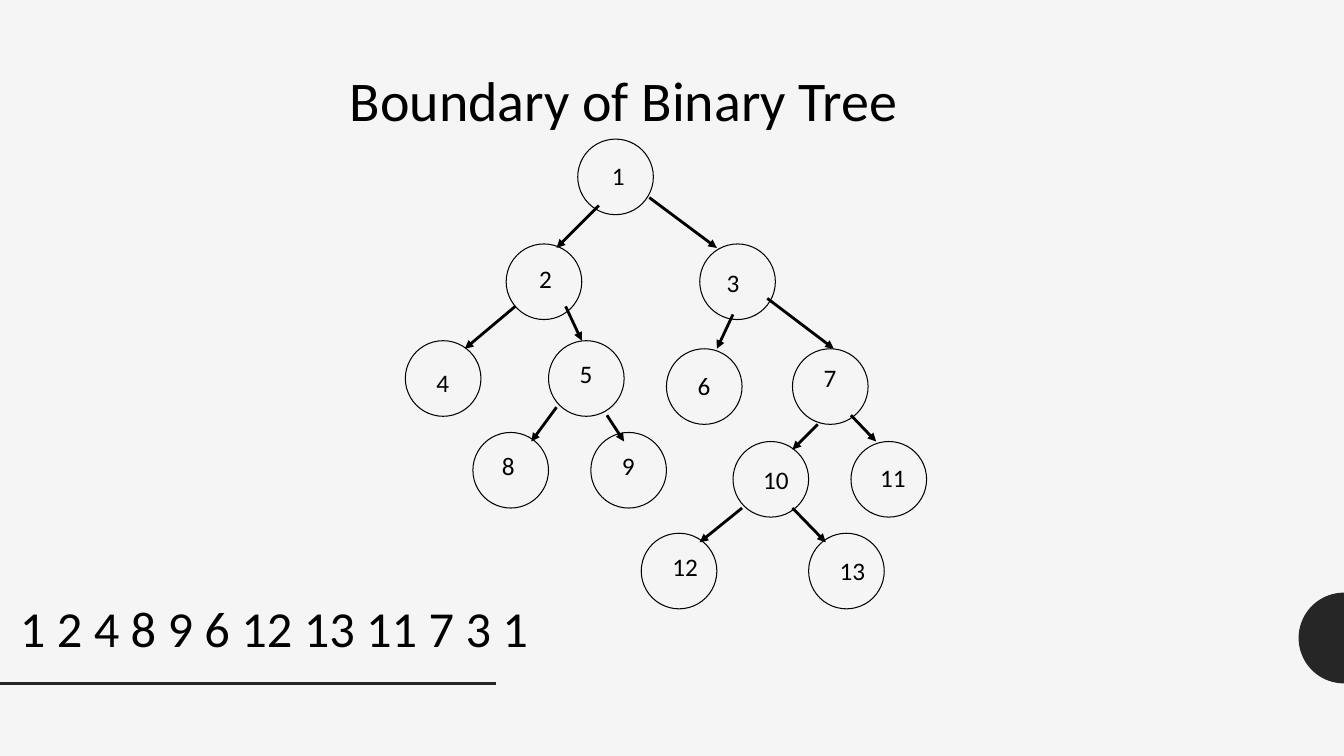
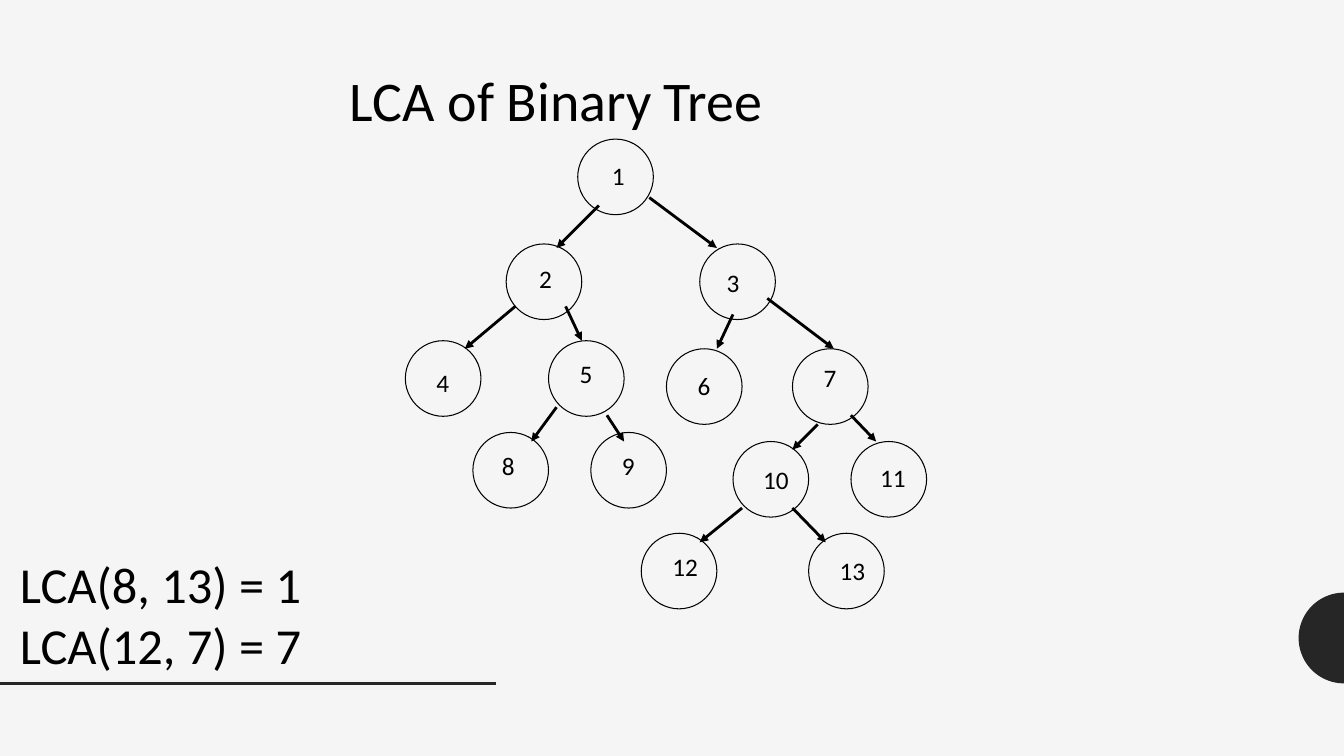
from math import cos, pi, sin

from pptx import Presentation
from pptx.dml.color import RGBColor
from pptx.enum.shapes import MSO_CONNECTOR as CONNECTOR, MSO_SHAPE as SHAPE
from pptx.enum.text import MSO_ANCHOR as ANCHOR, MSO_AUTO_SIZE as AUTO_SIZE, PP_ALIGN as ALIGN
from pptx.oxml.ns import qn
from pptx.util import Inches, Pt
from lxml import etree

PAPER = RGBColor(0xF5, 0xF5, 0xF5)
CHARCOAL = RGBColor(0x26, 0x26, 0x26)
BLACK = RGBColor(0, 0, 0)
FONT = "Calibri"

# Boxes: left, top, width, height in inches
SLIDE_WIDTH, SLIDE_HEIGHT = 13.33, 7.5
TITLE_BOX = (3.37, 0.6, 8.76, 0.77)
TREE_ORIGIN = (4.02, 1.38)
RULE_Y, RULE_WIDTH = 6.78, 4.92
DOT_RADIUS = 0.45
DIAMETER = 0.75

# Value: circle corner within the tree, label offset within the circle
NODES = {
    1: (1.71, 0, 0.24, 0.16),
    2: (1, 1.04, 0.23, 0.14),
    3: (2.92, 1.04, 0.17, 0.18),
    4: (0, 2, 0.21, 0.21),
    5: (1.42, 2, 0.21, 0.13),
    6: (2.59, 2.08, 0.21, 0.16),
    7: (3.84, 2.08, 0.21, 0.09),
    8: (0.67, 2.91, 0.19, 0.13),
    9: (1.84, 2.91, 0.21, 0.13),
    10: (3.25, 3, 0.2, 0.18),
    11: (4.42, 3, 0.19, 0.16),
    12: (2.34, 3.91, 0.21, 0.13),
    13: (4, 3.91, 0.21, 0.17),
}

# Parent, child: arrow start and end within the tree
EDGES = {
    (1, 2): (1.92, 0.66, 1.5, 1.08),
    (1, 3): (2.42, 0.58, 3.09, 1.08),
    (2, 4): (1.09, 1.66, 0.59, 2.08),
    (2, 5): (1.59, 1.66, 1.75, 2),
    (3, 6): (3.25, 1.74, 3.09, 2.08),
    (3, 7): (3.59, 1.58, 4.25, 2.08),
    (5, 8): (1.5, 2.66, 1.25, 3),
    (5, 9): (2, 2.74, 2.17, 3),
    (7, 10): (4.09, 2.83, 3.84, 3.08),
    (7, 11): (4.42, 2.74, 4.67, 3),
    (10, 12): (3.34, 3.66, 2.92, 4),
    (10, 13): (3.84, 3.66, 4.17, 4),
}

# Title, answer box, answer lines
PAGES = [
    ("Boundary of Binary Tree", (0.1, 5.87, 5.5, 0.71), ["1 2 4 8 9 6 12 13 11 7 3 1"]),
    ("LCA of Binary Tree", (0.1, 5.44, 5.5, 1.31), ["LCA(8, 13) = 1", "LCA(12, 7) = 7"]),
]


def write_lines(shape, lines, size):
    """Fill a text shape with one left-aligned paragraph per line."""
    frame = shape.text_frame
    frame.word_wrap = True
    frame.auto_size = AUTO_SIZE.SHAPE_TO_FIT_TEXT
    frame.vertical_anchor = ANCHOR.TOP
    for index, line in enumerate(lines):
        para = frame.add_paragraph() if index else frame.paragraphs[0]
        para.alignment = ALIGN.LEFT
        span = para.add_run()
        span.text = line
        span.font.name = FONT
        span.font.size = Pt(size)
        span.font.color.rgb = BLACK


def add_text(page, box, lines, size):
    write_lines(page.shapes.add_textbox(*map(Inches, box)), lines, size)


def add_line(page, ends, color, arrow=False):
    line = page.shapes.add_connector(CONNECTOR.STRAIGHT, *map(Inches, ends))
    line.line.color.rgb = color
    line.line.width = Pt(2)
    if arrow:
        etree.SubElement(line.line._get_or_add_ln(), qn("a:tailEnd"), type="triangle")
    etree.SubElement(line._element.spPr, qn("a:effectLst"))


def add_decoration(page):
    """Half disc on the right edge and rule on the left, ending level."""
    center_y = RULE_Y - DOT_RADIUS
    steps = 48
    arc = [
        (Inches(SLIDE_WIDTH - DOT_RADIUS * sin(pi * step / steps)),
         Inches(center_y - DOT_RADIUS * cos(pi * step / steps)))
        for step in range(steps + 1)
    ]
    builder = page.shapes.build_freeform(*arc[0])
    builder.add_line_segments(arc[1:], close=True)
    half_disc = builder.convert_to_shape()
    half_disc.shadow.inherit = False
    half_disc.fill.solid()
    half_disc.fill.fore_color.rgb = CHARCOAL
    half_disc.line.fill.background()
    add_line(page, (0, RULE_Y, RULE_WIDTH, RULE_Y), CHARCOAL)


def add_title(page, title):
    holder = page.shapes.title
    holder.left, holder.top, holder.width, holder.height = map(Inches, TITLE_BOX)
    write_lines(holder, [title], 40)


def add_tree(page, left, top):
    # Circles
    for x, y, _, _ in NODES.values():
        circle = page.shapes.add_shape(
            SHAPE.OVAL, *map(Inches, (left + x, top + y, DIAMETER, DIAMETER)))
        circle.shadow.inherit = False
        circle.fill.background()
        circle.line.color.rgb = BLACK
        circle.line.width = Pt(0.75)
    # Arrows from parent to child
    for x1, y1, x2, y2 in EDGES.values():
        add_line(page, (left + x1, top + y1, left + x2, top + y2), BLACK, arrow=True)
    # Labels
    for value, (x, y, dx, dy) in NODES.items():
        add_text(page, (left + x + dx, top + y + dy, 0.5, 0.4), [str(value)], 18)


def add_tree_page(deck, title, answer_box, answer):
    page = deck.slides.add_slide(deck.slide_layouts[5])
    add_decoration(page)
    add_title(page, title)
    add_tree(page, *TREE_ORIGIN)
    add_text(page, answer_box, answer, 36)


def main():
    deck = Presentation()
    deck.slide_width = Inches(SLIDE_WIDTH)
    deck.slide_height = Inches(SLIDE_HEIGHT)
    background = deck.slide_master.background.fill
    background.solid()
    background.fore_color.rgb = PAPER
    for title, answer_box, answer in PAGES:
        add_tree_page(deck, title, answer_box, answer)
    deck.save("out.pptx")


if __name__ == "__main__":
    main()
